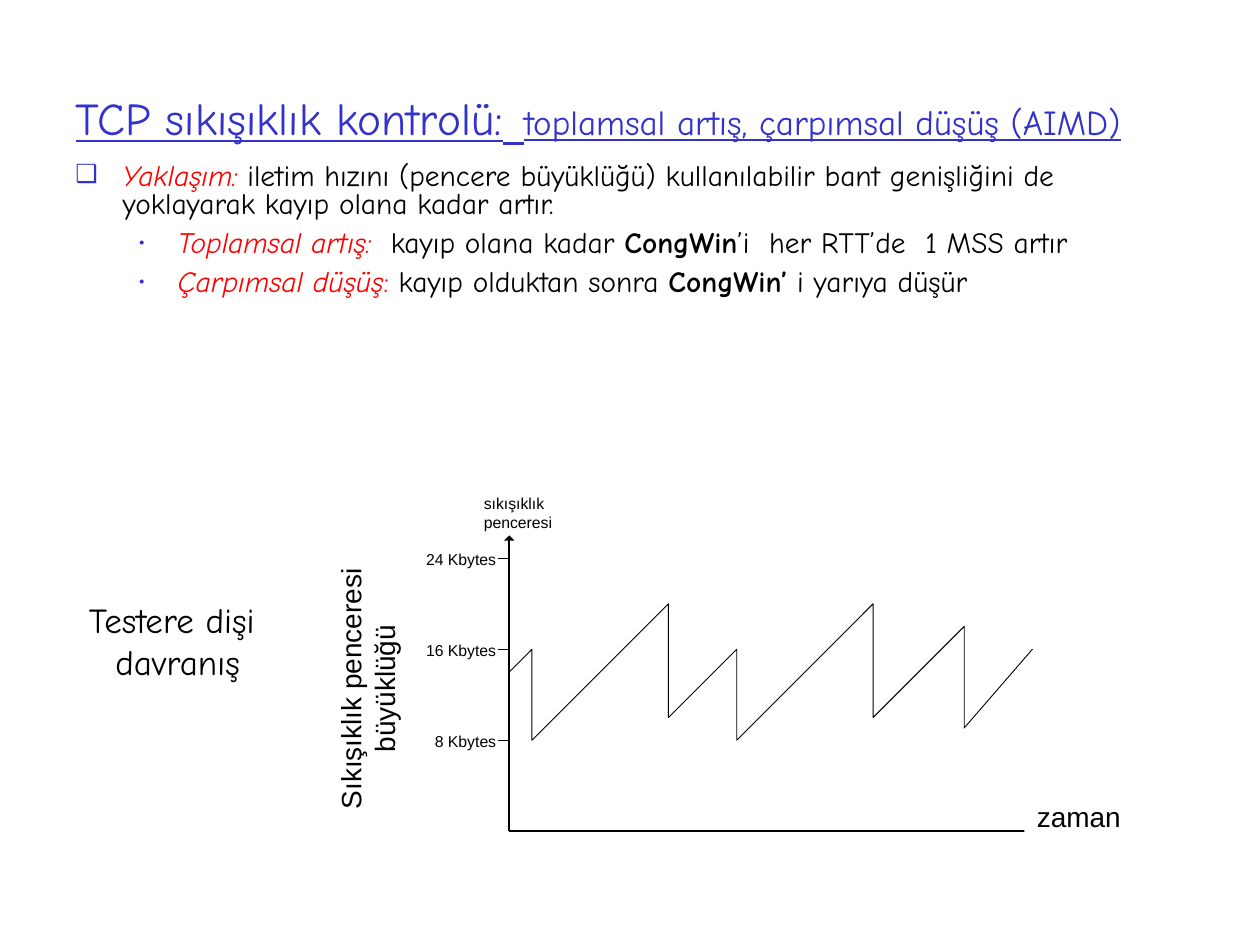
from lxml import etree
from pptx import Presentation
from pptx.dml.color import RGBColor
from pptx.enum import shapes, text
from pptx.oxml import ns
from pptx.util import Pt

BLACK, WHITE, BLUE, RED = "000000", "FFFFFF", "3333CC", "FF0000"
SANS, COMIC = "Arial", "Comic Neue"
ALIGN = text.PP_ALIGN


def rgb(value):
    return RGBColor.from_string(value)


def style(font, size, face, color=BLACK, bold=False, italic=False):
    font.size, font.name = Pt(size), face
    font.bold, font.italic = bold, italic
    font.color.rgb = rgb(color)


def add_label(slide, box, lines, size, face, align=ALIGN.CENTER,
              margins=(7.2, 3.6), wrap=True, fill=None):
    label = slide.shapes.add_textbox(*map(Pt, box))
    if fill:
        label.fill.solid()
        label.fill.fore_color.rgb = rgb(fill)
    frame = label.text_frame
    frame.word_wrap = wrap
    frame.margin_left = frame.margin_right = Pt(margins[0])
    frame.margin_top = frame.margin_bottom = Pt(margins[1])
    frame.text = "\n".join(lines)
    for paragraph in frame.paragraphs:
        paragraph.alignment = align
        for run in paragraph.runs:
            style(run.font, size, face)
    return label


def add_line(slide, start, end, width):
    line = slide.shapes.add_connector(
        shapes.MSO_CONNECTOR.STRAIGHT, *map(Pt, (*start, *end)))
    line.line.color.rgb = rgb(BLACK)
    line.line.width = Pt(width)
    etree.SubElement(line._element.spPr, ns.qn("a:effectLst"))


def add_outline(slide, points, close):
    builder = slide.shapes.build_freeform(*points[0], scale=Pt(1))
    builder.add_line_segments(points[1:], close=close)
    outline = builder.convert_to_shape()
    outline.shadow.inherit = False
    return outline


def set_bullet(paragraph, char, percent, left, hanging):
    properties = paragraph._p.get_or_add_pPr()
    properties.set("marL", str(Pt(left)))
    properties.set("indent", str(Pt(-hanging)))
    color = etree.SubElement(properties, ns.qn("a:buClr"))
    etree.SubElement(color, ns.qn("a:srgbClr"), val=BLUE)
    etree.SubElement(properties, ns.qn("a:buSzPct"), val=str(percent * 1000))
    etree.SubElement(properties, ns.qn("a:buFont"), typeface=COMIC)
    etree.SubElement(properties, ns.qn("a:buChar"), char=char)


def fill_title(slide, box):
    title = slide.shapes.title
    title.left, title.top, title.width, title.height = map(Pt, box)
    frame = title.text_frame
    frame.auto_size = text.MSO_AUTO_SIZE.NONE
    frame.vertical_anchor = text.MSO_ANCHOR.MIDDLE
    heading = frame.paragraphs[0]
    heading.alignment = ALIGN.CENTER
    for words, size in (("TCP sıkışıklık kontrolü:", 26), (" ", 36),
                        ("toplamsal artış, çarpımsal düşüş (AIMD)", 20)):
        run = heading.add_run()
        run.text = words
        style(run.font, size, COMIC, BLUE)
        run.font.underline = True


def add_approach(slide, box):
    """Bulleted description of the algorithm; runs are (words, color, bold, italic)."""
    top_level = (0, "❑", 85, 27, 27)
    sub_level = (1, "•", 75, 58.5, 22.5)
    points = [
        (top_level, [
            ("Yaklaşım: ", RED, False, True),
            ("iletim hızını (pencere büyüklüğü) kullanılabilir bant genişliğini "
             "de yoklayarak kayıp olana kadar artır.", BLACK, False, False)]),
        (sub_level, [
            ("Toplamsal artış: ", RED, False, True),
            (" kayıp olana kadar ", BLACK, False, False),
            ("CongWin", BLACK, True, False),
            ("’i  her RTT’de  1 MSS artır", BLACK, False, False)]),
        (sub_level, [
            ("Çarpımsal düşüş", RED, False, True),
            (": ", RED, False, False),
            ("kayıp olduktan sonra ", BLACK, False, False),
            ("CongWin’", BLACK, True, False),
            (" i yarıya düşür", BLACK, False, False)]),
    ]
    frame = slide.shapes.add_textbox(*map(Pt, box)).text_frame
    frame.word_wrap = True
    for index, ((level, *bullet), runs) in enumerate(points):
        paragraph = frame.add_paragraph() if index else frame.paragraphs[0]
        paragraph.level = level
        paragraph.line_spacing = 0.8
        paragraph.space_before = Pt(6 if index else 0)
        set_bullet(paragraph, *bullet)
        for words, color, bold, italic in runs:
            run = paragraph.add_run()
            run.text = words
            style(run.font, 16.8, COMIC, color, bold, italic)


def add_sawtooth(slide, box):
    """Congestion window over time; the box is the area between the axes."""
    left, top, width, height = box
    bottom = top + height
    kbyte, step = 6.5, 13
    window = [(0, 14), (1, 16), (1, 8), (7, 20), (7, 10), (10, 16), (10, 8),
              (16, 20), (16, 10), (20, 18), (20, 9), (23, 16)]

    add_line(slide, (left, bottom), (left, top + 2), 0.88)
    arrowhead = add_outline(
        slide, [(left - 3, top + 3), (left, top), (left + 3, top + 3)], True)
    arrowhead.fill.solid()
    arrowhead.fill.fore_color.rgb = rgb(BLACK)
    arrowhead.line.fill.background()
    add_line(slide, (left, bottom), (left + width, bottom), 0.88)

    for size in (8, 16, 24):
        y = bottom - size * kbyte
        add_line(slide, (left - 6.5, y), (left, y), 0.5)
        add_label(slide, (left - 57.5, y - 5, 50, 10.8), [f"{size} Kbytes"],
                  9, SANS, ALIGN.RIGHT, (0, 0))

    curve = add_outline(
        slide, [(left + time * step, bottom - size * kbyte)
                for time, size in window], False)
    curve.fill.background()
    curve.line.color.rgb = rgb(BLACK)
    curve.line.width = Pt(0.5)

    add_label(slide, (left - 14.5, top - 24, 50, 21), ["sıkışıklık", "penceresi"],
              9, SANS, ALIGN.LEFT, (0, 0))
    add_label(slide, (left + 294.4, bottom - 21.6, 62, 26.6), ["zaman"],
              16, SANS, margins=(2, 3.6), wrap=False, fill=WHITE)
    axis_title = add_label(
        slide, (left - 157, bottom - 104.4, 152, 46),
        ["Sıkışıklık penceresi", "büyüklüğü"], 16, SANS, wrap=False, fill=WHITE)
    axis_title.rotation = 270


def main():
    deck = Presentation()
    deck.slide_width, deck.slide_height = Pt(720), Pt(540)
    slide = deck.slides.add_slide(deck.slide_layouts[5])
    fill_title(slide, (0, 18, 684, 90))
    add_sawtooth(slide, (291, 306, 309.5, 169))
    add_approach(slide, (36, 90, 648, 114))
    add_label(slide, (42.5, 338.4, 118, 55.5), ["Testere dişi ", "davranış"],
              20, COMIC)
    deck.save("out.pptx")


if __name__ == "__main__":
    main()
